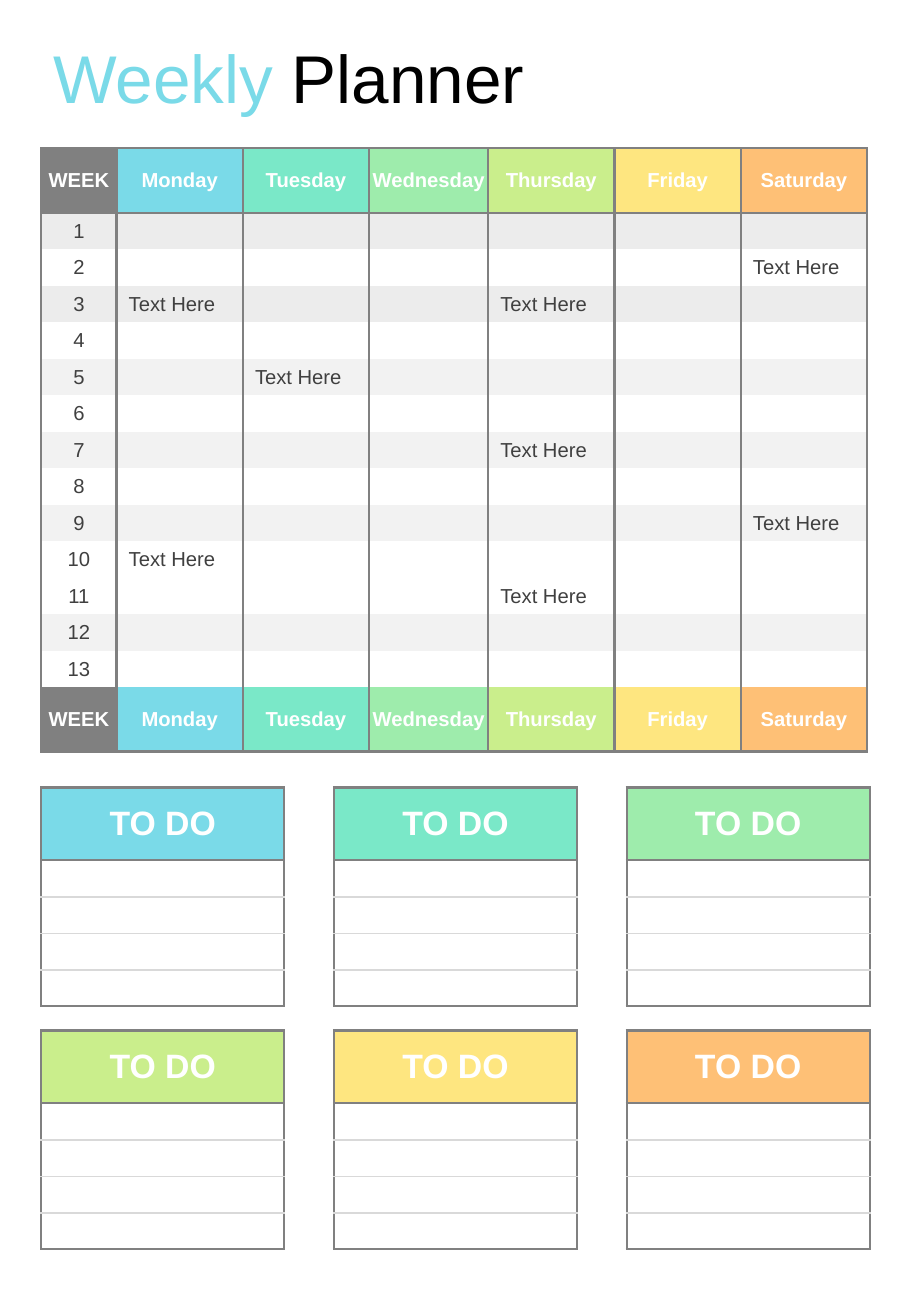
"""Build a one-page weekly planner with a timetable and six to-do lists."""
from dataclasses import dataclass
from itertools import product

from lxml.etree import SubElement
from pptx import Presentation
from pptx.dml.color import RGBColor
from pptx.enum.text import MSO_ANCHOR as Anchor, MSO_AUTO_SIZE as AutoSize, PP_ALIGN as Align
from pptx.oxml.ns import qn
from pptx.slide import Slide
from pptx.table import _Cell as TableCell
from pptx.util import Inches, Pt

COLORS = {
    "Monday": "7ADAE8", "Tuesday": "7AE8C8", "Wednesday": "9EECAC",
    "Thursday": "CAEE8C", "Friday": "FEE680", "Saturday": "FEC076",
    "WEEK": "808080", "frame": "808080", "rule": "D9D9D9", "ink": "404040",
    "black": "000000", "white": "FFFFFF", "dark band": "ECECEC", "light band": "F2F2F2",
}
DAYS = ["Monday", "Tuesday", "Wednesday", "Thursday", "Friday", "Saturday"]
BANDS = {1: "dark band", 3: "dark band", 5: "light band", 7: "light band",
         9: "light band", 12: "light band"}
ENTRIES = {(2, "Saturday"), (3, "Monday"), (3, "Thursday"), (5, "Tuesday"),
           (7, "Thursday"), (9, "Saturday"), (10, "Monday"), (11, "Thursday")}
WEEKS = 13
LEFT = 0.34


@dataclass
class Entry:
    text: str = ""
    fill: str = ""
    color: str = "ink"
    size: int = 12
    bold: bool = False
    indent: float = 0
    top: str = ""
    bottom: str = ""


@dataclass
class Grid:
    left: float
    top: float
    widths: list[float]
    heights: list[float]
    rows: list[list[Entry]]


def rgb(name: str) -> RGBColor:
    return RGBColor.from_string(COLORS[name])


def set_border(cell: TableCell, side: str, color: str) -> None:
    width = Pt(1) if color == "rule" else Pt(1.5)
    line = SubElement(cell._tc.get_or_add_tcPr(), qn(f"a:ln{side}"), w=str(width))
    if color:
        fill = SubElement(line, qn("a:solidFill"))
        SubElement(fill, qn("a:srgbClr"), val=COLORS[color])
    else:
        SubElement(line, qn("a:noFill"))


def fill_cell(cell: TableCell, entry: Entry) -> None:
    cell.margin_left = Inches(entry.indent)
    cell.margin_right = cell.margin_top = cell.margin_bottom = 0
    cell.vertical_anchor = Anchor.MIDDLE
    borders = {"L": "frame", "R": "frame", "T": entry.top, "B": entry.bottom}
    for side, color in borders.items():
        set_border(cell, side, color)
    if entry.fill:
        cell.fill.solid()
        cell.fill.fore_color.rgb = rgb(entry.fill)
    else:
        cell.fill.background()
    if not entry.text:
        return
    para = cell.text_frame.paragraphs[0]
    para.text = entry.text
    para.alignment = Align.LEFT if entry.indent else Align.CENTER
    font = para.runs[0].font
    font.name, font.size, font.bold = "Arial", Pt(entry.size), entry.bold
    font.color.rgb = rgb(entry.color)


def draw_grid(page: Slide, grid: Grid) -> None:
    frame = page.shapes.add_table(
        len(grid.heights), len(grid.widths), Inches(grid.left), Inches(grid.top),
        Inches(sum(grid.widths)), Inches(sum(grid.heights)))
    table = frame.table
    table.first_row = table.horz_banding = False
    for column, width in zip(table.columns, grid.widths):
        column.width = Inches(width)
    for row, height, entries in zip(table.rows, grid.heights, grid.rows):
        row.height = Inches(height)
        for cell, entry in zip(row.cells, entries):
            fill_cell(cell, entry)


def heading_row(top: str) -> list[Entry]:
    return [Entry(name, name, "white", bold=True, top=top, bottom="frame")
            for name in ["WEEK", *DAYS]]


def week_row(week: int) -> list[Entry]:
    fill, top = BANDS.get(week, ""), "frame" if week == 1 else ""
    days = [Entry("Text Here", fill, indent=0.1, top=top) if (week, day) in ENTRIES
            else Entry(fill=fill, top=top) for day in DAYS]
    return [Entry(str(week), fill, top=top), *days]


def timetable() -> Grid:
    weeks = [week_row(week) for week in range(1, WEEKS + 1)]
    return Grid(LEFT, 1.22, [0.62, 1.04, 1.04, 0.98, 1.04, 1.04, 1.04],
                [0.53, *[0.3] * WEEKS, 0.53],
                [heading_row("frame"), *weeks, heading_row("")])


def todo_list(column: int, row: int) -> Grid:
    heading = Entry("TO DO", DAYS[row * 3 + column], "white", 20, True,
                    top="frame", bottom="frame")
    edges = ["frame", "rule", "rule", "rule", "frame"]
    lines = [[Entry(fill="white", top=top, bottom=bottom)]
             for top, bottom in zip(edges, edges[1:])]
    return Grid(LEFT + column * 2.41, 6.48 + row * 2, [2],
                [0.6, *[0.3] * len(lines)], [[heading], *lines])


def draw_title(page: Slide) -> None:
    box = page.shapes.add_textbox(Inches(LEFT), Inches(0.25), Inches(7.16), Inches(0.77))
    box.text_frame.word_wrap = True
    box.text_frame.auto_size = AutoSize.SHAPE_TO_FIT_TEXT
    para = box.text_frame.paragraphs[0]
    for text, color in [("Weekly", "Monday"), (" Planner", "black")]:
        span = para.add_run()
        span.text = text
        span.font.name, span.font.size = "Arial", Pt(40)
        span.font.color.rgb = rgb(color)


def main() -> None:
    deck = Presentation()
    deck.slide_width, deck.slide_height = Inches(7.5), Inches(10.83)
    page = deck.slides.add_slide(deck.slide_layouts[6])
    draw_title(page)
    draw_grid(page, timetable())
    for column, row in product(range(3), range(2)):
        draw_grid(page, todo_list(column, row))
    deck.save("out.pptx")


if __name__ == "__main__":
    main()
